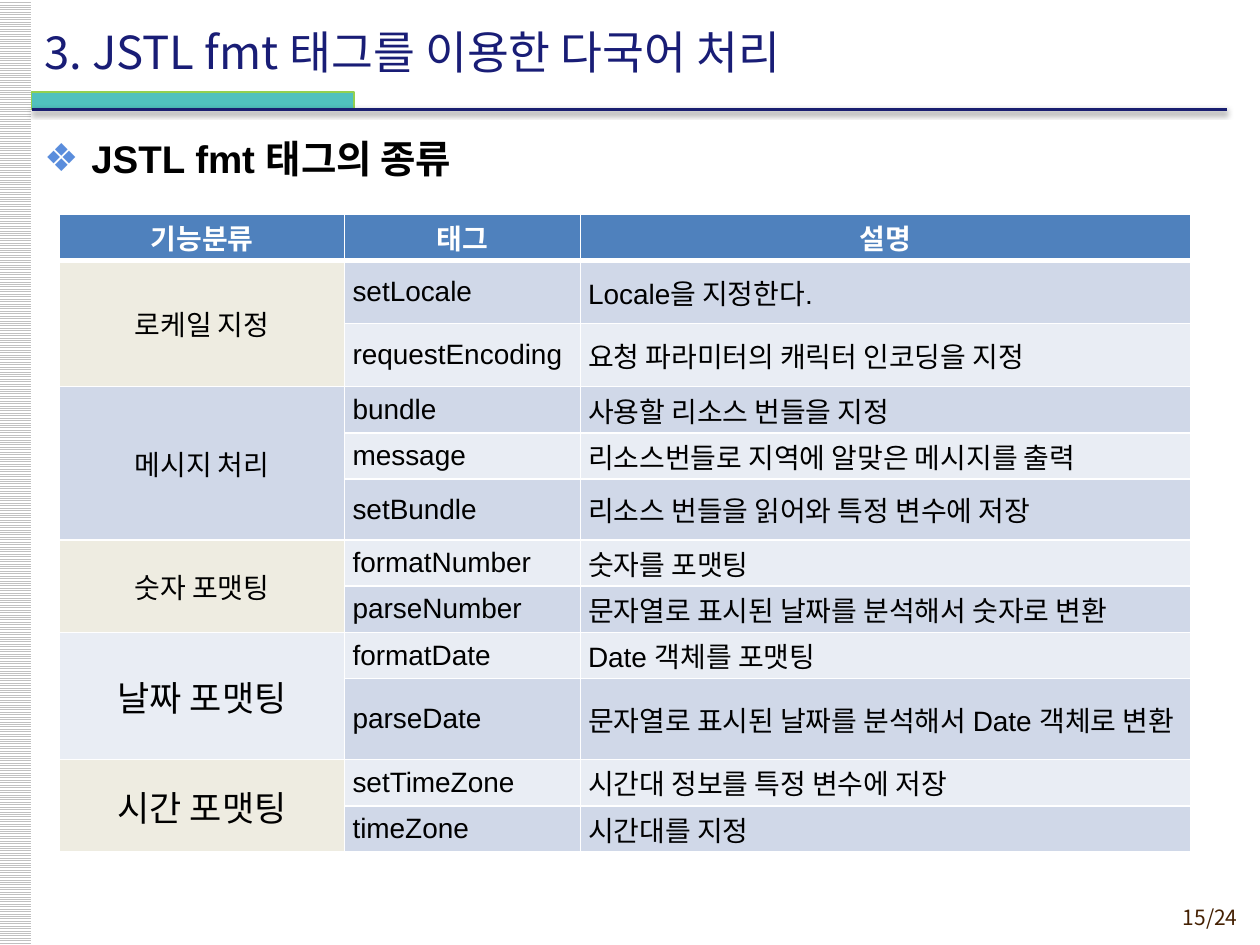
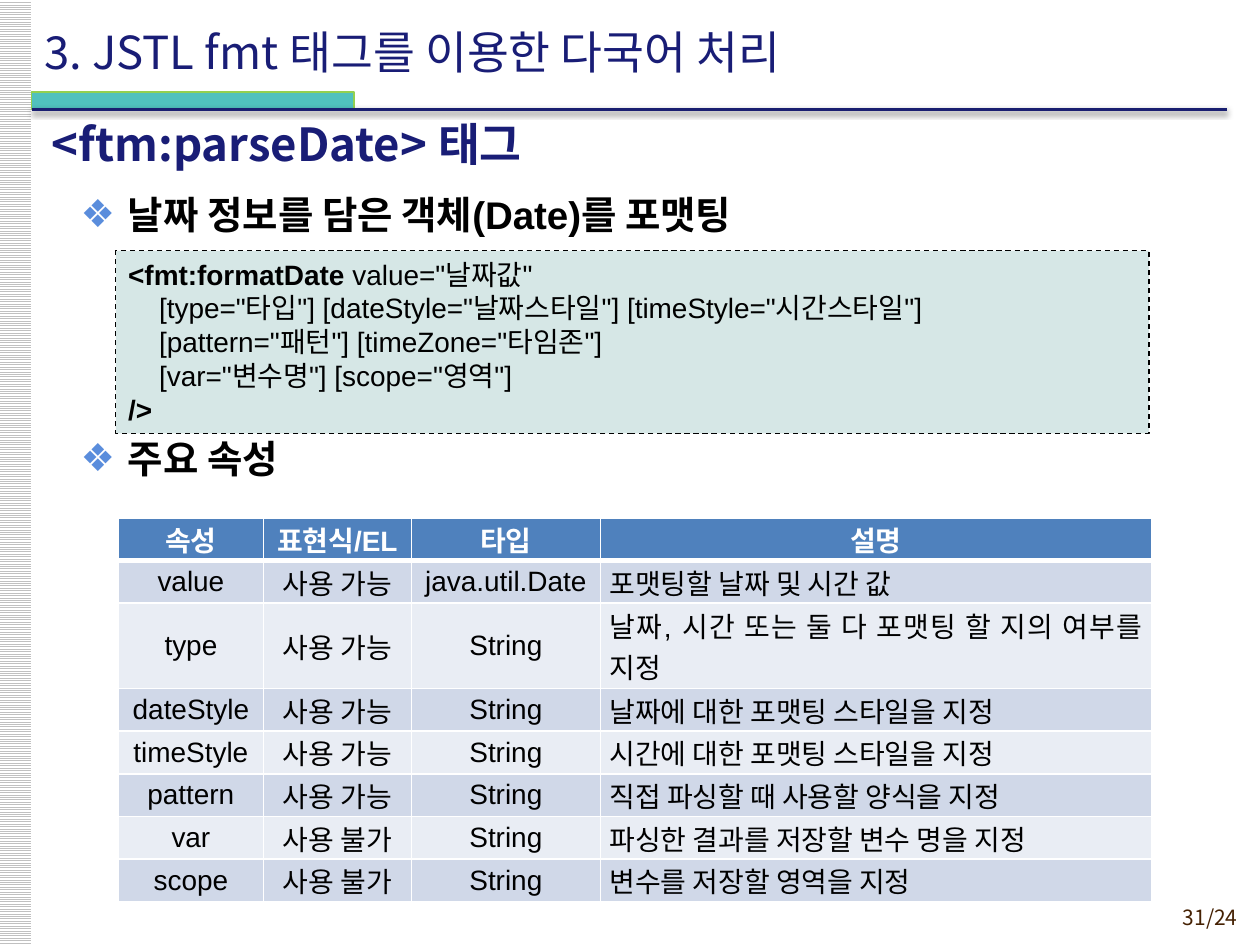
from dataclasses import dataclass
from typing import NamedTuple

from lxml.etree import SubElement
from pptx import Presentation
from pptx.dml.color import RGBColor
from pptx.enum.dml import MSO_LINE, MSO_PATTERN
from pptx.enum.shapes import MSO_CONNECTOR, MSO_SHAPE
from pptx.enum.text import MSO_ANCHOR, MSO_AUTO_SIZE, PP_ALIGN
from pptx.oxml.ns import qn
from pptx.util import Pt


# Theme: colours, faces and type sizes
@dataclass(frozen=True)
class Theme:
    white: str = "FFFFFF"
    black: str = "000000"
    navy: str = "191D76"
    rule: str = "191E70"
    teal: str = "50C1BE"
    lime: str = "92D050"
    grey: str = "C0C0C0"
    brown: str = "452103"
    bullet: str = "5A8DDC"
    mint: str = "D6E7E6"
    head: str = "4F81BD"
    odd: str = "D0D8E8"
    even: str = "E9EDF4"
    beige: str = "EEECE1"
    latin: str = "Arial"
    korean: str = "Noto Sans CJK KR"
    title: int = 26
    list: int = 22
    group: int = 20
    text: int = 16
    page: int = 12


T = Theme()
LEFT, MID, RIGHT, JUST = PP_ALIGN.LEFT, PP_ALIGN.CENTER, PP_ALIGN.RIGHT, PP_ALIGN.JUSTIFY


class Box(NamedTuple):
    x: float
    y: float
    w: float
    h: float

    def points(self) -> tuple:
        return tuple(Pt(side) for side in self)


class Look(NamedTuple):
    size: int
    color: str = T.black
    bold: bool = False
    face: str = T.latin


class Item(NamedTuple):
    text: str
    before: float = 0


class Group(NamedTuple):
    name: str
    size: int
    face: str
    tags: list


class Grid(NamedTuple):
    x: float
    y: float
    inset: float
    widths: list
    heights: list
    aligns: list


HEAD = Look(T.text, T.white, True)
CELL = Look(T.text)
TITLE = "3. JSTL fmt 태그를 이용한 다국어 처리"


# Text helpers
def rgb(code: str) -> RGBColor:
    return RGBColor.from_string(code)


def style(run, look: Look) -> None:
    font = run.font
    font.size, font.bold, font.name = Pt(look.size), look.bold, look.face
    font.color.rgb = rgb(look.color)
    SubElement(run._r.get_or_add_rPr(), qn("a:ea"), typeface=T.korean)


def write(frame, text: str, look: Look, align=LEFT, anchor=MSO_ANCHOR.TOP) -> None:
    frame.text = text
    frame.word_wrap = True
    frame.vertical_anchor = anchor
    for para in frame.paragraphs:
        para.alignment = align
        for run in para.runs:
            style(run, look)


def place(shape, box: Box) -> None:
    shape.left, shape.top, shape.width, shape.height = box.points()
    shape.text_frame.auto_size = MSO_AUTO_SIZE.NONE


def solid(fill, code: str) -> None:
    fill.solid()
    fill.fore_color.rgb = rgb(code)


def tint(parent, code: str):
    fill = SubElement(parent, qn("a:solidFill"))
    return SubElement(fill, qn("a:srgbClr"), val=code)


# Shared frame of each slide
def block(slide, box: Box):
    shape = slide.shapes.add_shape(MSO_SHAPE.RECTANGLE, *box.points())
    shape.shadow.inherit = False
    return shape


def note(slide, box: Box, text: str, look: Look, align=LEFT, anchor=MSO_ANCHOR.TOP) -> None:
    shape = slide.shapes.add_textbox(*box.points())
    write(shape.text_frame, text, look, align, anchor)


def start(deck, page: str):
    slide = deck.slides.add_slide(deck.slide_layouts[1])
    side = block(slide, Box(-0.7, 0, 18.7, 540))
    side.fill.patterned()
    side.fill.pattern = MSO_PATTERN.LIGHT_HORIZONTAL
    side.fill.fore_color.rgb = rgb(T.grey)
    side.fill.back_color.rgb = rgb(T.white)
    side.line.fill.background()

    band = block(slide, Box(18, 52.5, 184.3, 10))
    solid(band.fill, T.teal)
    band.line.color.rgb = rgb(T.lime)
    band.line.width = Pt(0.75)

    rule = slide.shapes.add_connector(
        MSO_CONNECTOR.STRAIGHT, Pt(18), Pt(62.5), Pt(701), Pt(62.5))
    rule.line.color.rgb = rgb(T.rule)
    rule.line.width = Pt(2)
    effects = SubElement(rule.element.spPr, qn("a:effectLst"))
    shade = SubElement(effects, qn("a:outerShdw"), blurRad=str(Pt(3.1)),
                       dist=str(Pt(1.6)), dir="5400000", rotWithShape="0")
    color = SubElement(shade, qn("a:srgbClr"), val=T.black)
    SubElement(color, qn("a:alpha"), val="38000")

    place(slide.shapes.title, Box(18, 6.5, 595.5, 45.4))
    write(slide.shapes.title.text_frame, TITLE,
          Look(T.title, T.navy, face=T.korean), anchor=MSO_ANCHOR.MIDDLE)
    note(slide, Box(638, 513.4, 76.3, 20.9), page,
         Look(T.page, T.brown, face=T.korean), RIGHT)
    return slide


def bullets(slide, box: Box, items: list[Item]) -> None:
    body = slide.placeholders[1]
    place(body, box)
    write(body.text_frame, "\n".join(item.text for item in items),
          Look(T.list, bold=True))
    for para, item in zip(body.text_frame.paragraphs, items):
        props = para._p.get_or_add_pPr()
        props.set("marL", str(Pt(27)))
        props.set("indent", str(Pt(-27)))
        color = SubElement(props, qn("a:buClr"))
        SubElement(color, qn("a:srgbClr"), val=T.bullet)
        SubElement(props, qn("a:buChar"), char="❖")
        para.space_before, para.space_after = Pt(item.before), Pt(1)


# Tables
def edge(cell, row: int) -> None:
    props = cell._tc.get_or_add_tcPr()
    wide = {0: "B", 1: "T"}.get(row)
    for side in "LRTB":
        width = Pt(3 if side == wide else 1)
        tint(SubElement(props, qn(f"a:ln{side}"), w=str(width)), T.white)


def fill(cell, text: str, look: Look, align, inset: float) -> None:
    cell.margin_left = cell.margin_right = Pt(inset)
    cell.margin_top = cell.margin_bottom = 0
    cell.vertical_anchor = MSO_ANCHOR.MIDDLE
    cell.text = text
    para = cell.text_frame.paragraphs[0]
    para.alignment = align
    for run in para.runs:
        style(run, look)


def table(slide, grid: Grid, rows: list):
    box = Box(grid.x, grid.y, sum(grid.widths), sum(grid.heights))
    sheet = slide.shapes.add_table(len(rows), len(grid.widths), *box.points()).table
    for col, width in zip(sheet.columns, grid.widths):
        col.width = Pt(width)
    for line, height in zip(sheet.rows, grid.heights):
        line.height = Pt(height)
    for r, row in enumerate(rows):
        shade = T.head if r == 0 else (T.even, T.odd)[r % 2]
        for c, text in enumerate(row):
            cell = sheet.cell(r, c)
            edge(cell, r)
            solid(cell.fill, shade)
            fill(cell, text, CELL if r else HEAD,
                 grid.aligns[c] if r else MID, grid.inset)
    return sheet


# Slide: kinds of fmt tags
GROUPS = [
    Group("로케일 지정", T.text, T.latin, [
        ("setLocale", "Locale을 지정한다."),
        ("requestEncoding", "요청 파라미터의 캐릭터 인코딩을 지정")]),
    Group("메시지 처리", T.text, T.latin, [
        ("bundle", "사용할 리소스 번들을 지정"),
        ("message", "리소스번들로 지역에 알맞은 메시지를 출력"),
        ("setBundle", "리소스 번들을 읽어와 특정 변수에 저장")]),
    Group("숫자 포맷팅", T.text, T.latin, [
        ("formatNumber", "숫자를 포맷팅"),
        ("parseNumber", "문자열로 표시된 날짜를 분석해서 숫자로 변환")]),
    Group("날짜 포맷팅", T.group, T.korean, [
        ("formatDate", "Date 객체를 포맷팅"),
        ("parseDate", "문자열로 표시된 날짜를 분석해서 Date 객체로 변환")]),
    Group("시간 포맷팅", T.group, T.korean, [
        ("setTimeZone", "시간대 정보를 특정 변수에 저장"),
        ("timeZone", "시간대를 지정")]),
]


def kinds(deck) -> None:
    slide = start(deck, "15/24")
    bullets(slide, Box(18, 73.4, 684, 450), [Item("JSTL fmt 태그의 종류")])
    low = 26.4
    grid = Grid(34, 122.6, 4.5, [163, 134.6, 349],
                [low, 36, 36, low, low, 34.8, low, low, low, 46.4, low, low],
                [MID, LEFT, LEFT])
    rows = [("기능분류", "태그", "설명")]
    rows += [("", *tag) for group in GROUPS for tag in group.tags]
    sheet = table(slide, grid, rows)
    top = 1
    for i, group in enumerate(GROUPS):
        cell = sheet.cell(top, 0)
        end = top + len(group.tags)
        cell.merge(sheet.cell(end - 1, 0))
        fill(cell, group.name, Look(group.size, face=group.face), MID, grid.inset)
        if i % 2 == 0:
            solid(cell.fill, T.beige)
        top = end


# Slide: date tag and its attributes
CODE = [
    "<fmt:formatDate ",
    '    [type="타입"] [dateStyle="날짜스타일"] [timeStyle="시간스타일"]',
    '    [pattern="패턴"] [timeZone="타임존"]',
    '    [var="변수명"] [scope="영역"]',
    "/>",
]
YES, NO = "사용 가능", "사용 불가"
TRAITS = [
    ("속성", "표현식/EL", "타입", "설명"),
    ("value", YES, "java.util.Date", "포맷팅할 날짜 및 시간 값"),
    ("type", YES, "String", "날짜, 시간 또는 둘 다 포맷팅 할 지의 여부를 지정"),
    ("dateStyle", YES, "String", "날짜에 대한 포맷팅 스타일을 지정"),
    ("timeStyle", YES, "String", "시간에 대한 포맷팅 스타일을 지정"),
    ("pattern", YES, "String", "직접 파싱할 때 사용할 양식을 지정"),
    ("var", NO, "String", "파싱한 결과를 저장할 변수 명을 지정"),
    ("scope", NO, "String", "변수를 저장할 영역을 지정"),
]


def code(slide) -> None:
    shape = block(slide, Box(66.2, 143.3, 590.4, 104.4))
    solid(shape.fill, T.mint)
    shape.line.color.rgb = rgb(T.black)
    shape.line.width = Pt(0.75)
    shape.line.dash_style = MSO_LINE.DASH
    write(shape.text_frame, "\n".join(CODE), CELL)
    paras = shape.text_frame.paragraphs
    for para in paras:
        para.line_spacing = Pt(19.3)
    for para in (paras[0], paras[-1]):
        para.runs[0].font.bold = True
    value = paras[0].add_run()
    value.text = 'value="날짜값"'
    style(value, CELL)


def dates(deck) -> None:
    slide = start(deck, "31/24")
    note(slide, Box(22.3, 59, 680.4, 46), "<ftm:parseDate> 태그",
         Look(T.title, T.navy, True, T.korean), anchor=MSO_ANCHOR.MIDDLE)
    bullets(slide, Box(38.9, 105.8, 648, 404),
            [Item("날짜 정보를 담은 객체(Date)를 포맷팅"), Item("주요 속성", 112)])
    code(slide)
    low = 24.4
    grid = Grid(67.7, 295.9, 5.2, [82.8, 84.6, 108, 315],
                [low, low, 2 * low] + [low] * 5, [MID, MID, MID, JUST])
    table(slide, grid, TRAITS)


def main() -> None:
    deck = Presentation()
    deck.slide_width, deck.slide_height = Pt(720), Pt(540)
    kinds(deck)
    dates(deck)
    deck.save("out.pptx")


if __name__ == "__main__":
    main()
